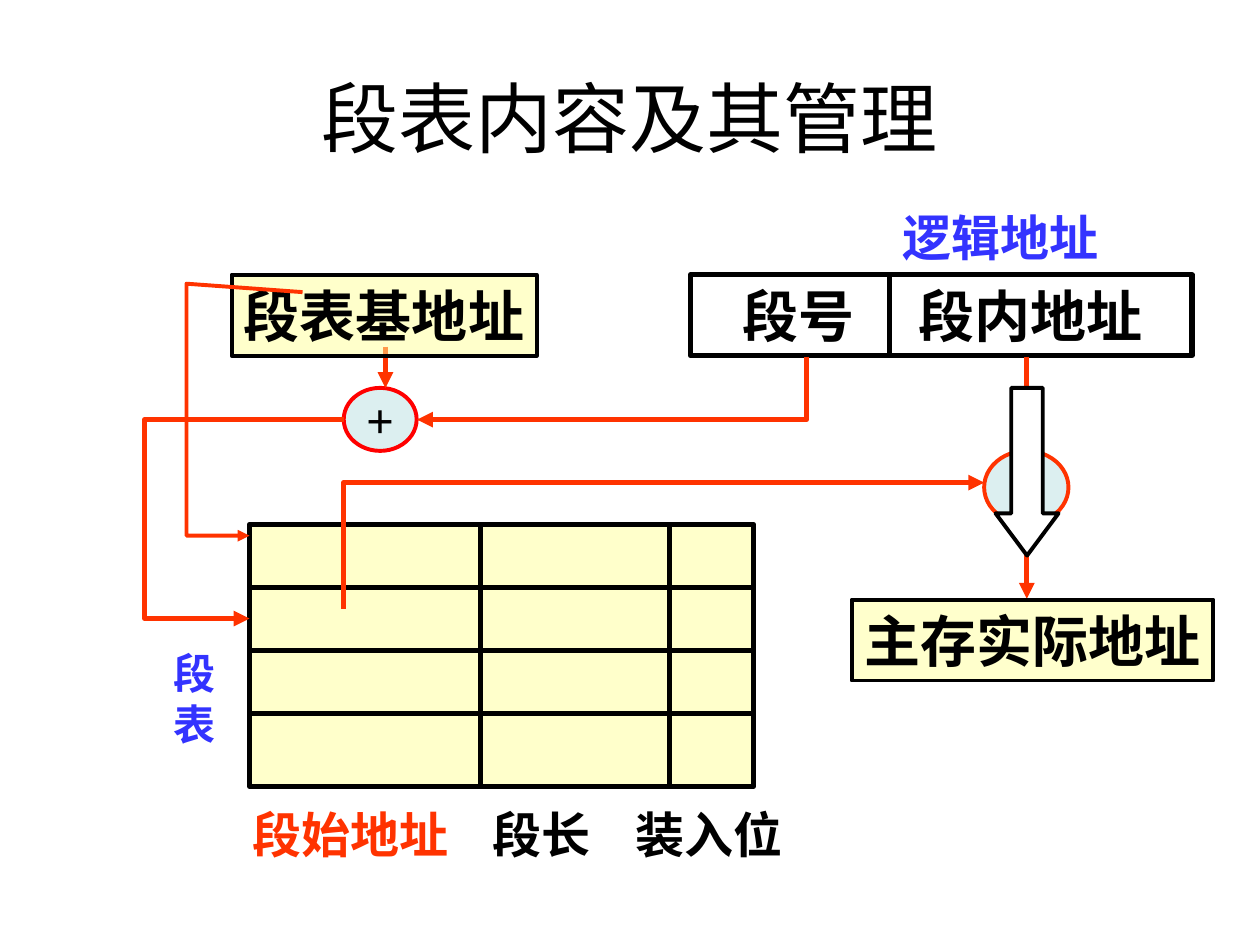
import dataclasses

import pptx
import pptx.dml.color
import pptx.enum.shapes
import pptx.enum.text
import pptx.oxml
import pptx.oxml.ns
import pptx.util

Cm = pptx.util.Cm
Pt = pptx.util.Pt
Kind = pptx.enum.shapes.MSO_SHAPE
Align = pptx.enum.text.PP_ALIGN


@dataclasses.dataclass(frozen=True)
class Theme:
    black: str = "000000"
    white: str = "FFFFFF"
    blue: str = "3333FF"
    red: str = "FF3300"
    ring: str = "FF0000"
    yellow: str = "FFFF99"
    cream: str = "FFFFCC"
    teal: str = "BBE0E3"
    head: str = "Arial"
    body: str = "Times New Roman"
    title: float = 44
    large: float = 32
    label: float = 28
    small: float = 24
    thick: float = 3
    thin: float = 2.25


class Board:
    """Draws styled elements on the current slide."""

    def __init__(self, theme, slide):
        self.theme = theme
        self.slide = slide
        self.shapes = slide.shapes

    def tint(self, font, color):
        font.color.rgb = pptx.dml.color.RGBColor.from_string(color)

    def node(self, parent, tag, **attrs):
        child = pptx.oxml.parse_xml(f"<a:{tag} {pptx.oxml.ns.nsdecls('a')}/>")
        for name, value in attrs.items():
            child.set(name, str(value))
        parent.append(child)
        return child

    def stroke(self, shape, color, width, arrow=False):
        self.tint(shape.line, color)
        shape.line.width = Pt(width)
        if arrow:
            edge = shape.element.spPr.find(pptx.oxml.ns.qn("a:ln"))
            self.node(edge, "tailEnd", type="triangle")

    def letter(self, shape, lines, size, font=None, bold=True, wrap=False, left=None, tabs=()):
        frame = shape.text_frame
        frame.word_wrap = wrap
        frame.vertical_anchor = pptx.enum.text.MSO_ANCHOR.MIDDLE
        if left is not None:
            frame.margin_left = Cm(left)
        for i, runs in enumerate(lines):
            para = frame.add_paragraph() if i else frame.paragraphs[0]
            para.alignment = Align.CENTER if left is None else Align.LEFT
            if tabs:
                stops = self.node(para._p.get_or_add_pPr(), "tabLst")
                for stop in tabs:
                    self.node(stops, "tab", pos=int(Cm(stop)), algn="l")
            for text, color in runs:
                run = para.add_run()
                run.text = text
                run.font.name = font or self.theme.body
                run.font.size = Pt(size)
                run.font.bold = bold
                self.tint(run.font, color)

    def title(self, text, box):
        shape = self.shapes.title
        shape.left, shape.top, shape.width, shape.height = map(Cm, box)
        look = self.theme
        self.letter(shape, [[(text, look.black)]], look.title, look.head, bold=False, wrap=True)

    def shape(self, kind, box, fill=None, alpha=None, line=None, width=None):
        shape = self.shapes.add_shape(kind, *map(Cm, box))
        shape.shadow.inherit = False
        if fill:
            self.paint(shape, fill, alpha)
        else:
            shape.fill.background()
        if line:
            self.stroke(shape, line, width)
        else:
            shape.line.fill.background()
        return shape

    def paint(self, shape, color, alpha):
        shape.fill.solid()
        shape.fill.fore_color.rgb = pptx.dml.color.RGBColor.from_string(color)
        if alpha:
            solid = shape.element.spPr.find(pptx.oxml.ns.qn("a:solidFill"))
            self.node(solid[0], "alpha", val=alpha * 1000)

    def label(self, box, lines, size, **style):
        shape = self.shapes.add_textbox(*map(Cm, box))
        self.letter(shape, lines, size, **style)

    def line(self, x1, y1, x2, y2, color, arrow=False):
        kind = pptx.enum.shapes.MSO_CONNECTOR.STRAIGHT
        link = self.shapes.add_connector(kind, *map(Cm, (x1, y1, x2, y2)))
        self.stroke(link, color, self.theme.thick, arrow)
        self.node(link.element.spPr, "effectLst")

    def route(self, points, width):
        start, *rest = [(Cm(x), Cm(y)) for x, y in points]
        pen = self.shapes.build_freeform(*start)
        pen.add_line_segments(rest, close=False)
        shape = pen.convert_to_shape()
        shape.shadow.inherit = False
        shape.fill.background()
        self.stroke(shape, self.theme.red, width, arrow=True)

    def grid(self, box, cols, rows, step):
        look = self.theme
        left, top, width, height = box
        self.shape(Kind.RECTANGLE, box, look.yellow, 50, look.black, look.thick)
        for row in range(1, rows):
            y = top + row * step
            self.line(left, y, left + width, y, look.black)
        for x in cols:
            self.line(x, top, x, top + height, look.black)


def main():
    deck = pptx.Presentation()
    deck.slide_width, deck.slide_height = Cm(25.4), Cm(19.05)
    look = Theme()
    board = Board(look, deck.slides.add_slide(deck.slide_layouts[5]))
    rect, oval = Kind.RECTANGLE, Kind.OVAL

    board.title("段表内容及其管理", (1.27, 0.76, 22.86, 3.18))

    logic = board.shape(rect, (13.92, 5.54, 10.11, 1.63), line=look.black, width=look.thick)
    board.letter(logic, [[("段号\t段内地址", look.black)]], look.large,
                 wrap=True, left=1.04, tabs=[3.56])
    board.grid((5.03, 10.57, 10.16, 5.28), cols=(9.68, 13.49), rows=4, step=1.27)
    board.line(17.93, 5.49, 17.93, 7.19, look.black)

    plus = board.shape(oval, (6.93, 7.82, 1.47, 1.27), look.teal, 50, look.ring, look.thin)
    board.letter(plus, [[("+", look.black)]], look.label)
    board.line(7.77, 6.99, 7.77, 7.82, look.red, arrow=True)
    board.shape(oval, (19.84, 9.09, 1.7, 1.47), look.teal, 50, look.red, look.thin)
    for top, end in ((7.19, 9.09), (10.57, 12.07)):
        board.line(20.7, top, 20.7, end, look.red, arrow=True)

    board.label((17.53, 4.06, 5.28, 1.45), [[("逻辑地址", look.blue)]], look.label, wrap=True)
    board.label((4.19, 15.49, 12.5, 2.64),
                [[("段始地址", look.red), ("\t段长\t装入位", look.black)]],
                look.label, wrap=True, left=0.91, tabs=[4.83, 7.72])
    side = board.shape(rect, (3.25, 12.93, 1.35, 2.29), look.white)
    board.letter(side, [[(char, look.blue)] for char in "段表"], look.small)

    for text, box, fill, alpha in (
        ("主存实际地址", (17.17, 12.09, 7.29, 1.63), look.cream, None),
        ("段表基地址", (4.67, 5.54, 6.15, 1.63), look.yellow, 50),
    ):
        shape = board.shape(rect, box, fill, alpha, look.black, look.thin)
        board.letter(shape, [[(text, look.black)]], look.large)

    board.route([(16.26, 7.19), (16.26, 8.46), (8.41, 8.46)], look.thick)
    board.route([(6.93, 8.46), (2.92, 8.46), (2.92, 12.47), (5.03, 12.47)], look.thick)
    board.route([(6.93, 12.27), (6.93, 9.73), (19.84, 9.73)], look.thick)
    down = board.shape(Kind.DOWN_ARROW, (20.07, 7.82, 1.27, 3.38),
                       look.white, line=look.black, width=look.thin)
    down.adjustments[0], down.adjustments[1] = 0.5, 0.67
    board.route([(6.1, 5.89), (3.76, 5.72), (3.76, 10.8), (5.03, 10.8)], look.thin)

    deck.save("out.pptx")


if __name__ == "__main__":
    main()
